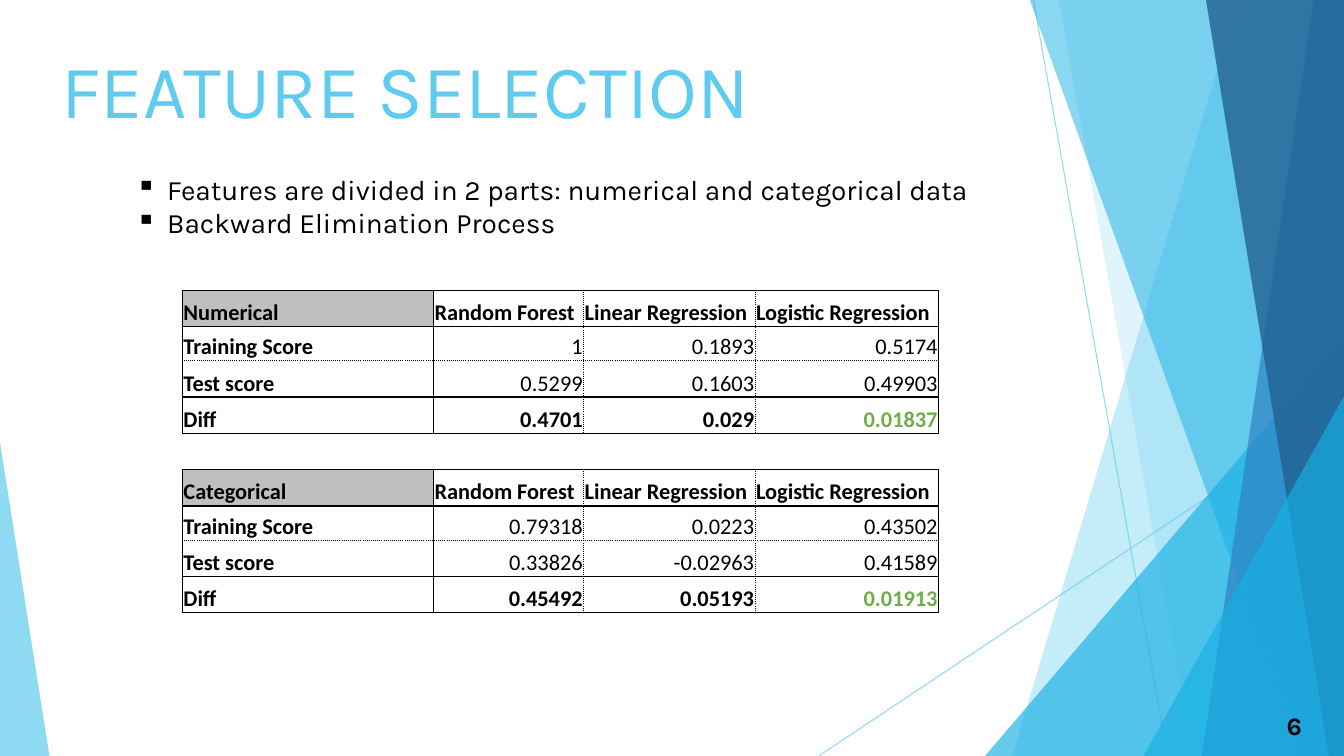
from dataclasses import dataclass

from lxml import etree
from pptx import Presentation
from pptx.dml.color import RGBColor
from pptx.enum.shapes import MSO_CONNECTOR, MSO_SHAPE
from pptx.enum.text import MSO_ANCHOR, MSO_AUTO_SIZE, PP_ALIGN
from pptx.oxml.ns import qn
from pptx.util import Emu, Pt

PX = 9144  # 100 px to the inch
PAGE_WIDTH, PAGE_HEIGHT = 1333, 750
LEFT, CENTER, RIGHT = PP_ALIGN.LEFT, PP_ALIGN.CENTER, PP_ALIGN.RIGHT
TOP, MIDDLE, BOTTOM = MSO_ANCHOR.TOP, MSO_ANCHOR.MIDDLE, MSO_ANCHOR.BOTTOM
TRIANGLE, STRAIGHT = MSO_SHAPE.ISOSCELES_TRIANGLE, MSO_CONNECTOR.STRAIGHT
GROW = MSO_AUTO_SIZE.SHAPE_TO_FIT_TEXT

SKY, CYAN, BLUE, NAVY = "5FCBEF", "17B0E4", "2E83C3", "226292"
BLACK, GRAY, GREEN = "000000", "BFBFBF", "70AD47"
HEADING_FONT, TABLE_FONT = "Karla", "Calibri"


@dataclass(frozen=True)
class Facet:
    """A band from a slanted left edge to the right side of the page."""
    top_x: int
    bottom_x: int
    color: str
    opacity: int


@dataclass(frozen=True)
class Wedge:
    left: int
    top: int
    width: int
    apex: float
    color: str
    opacity: int


@dataclass(frozen=True)
class Ray:
    start: tuple[int, int]
    end: tuple[int, int]


@dataclass(frozen=True)
class Edge:
    width: float
    dash: str = "solid"


@dataclass(frozen=True)
class ScoreBlock:
    name: str
    training: tuple[str, str, str]
    test: tuple[str, str, str]
    diff: tuple[str, str, str]


RAYS = [Ray((1025, 0), (1158, 750)), Ray((1333, 403), (812, 750))]
BACKDROP = [
    Facet(1228, 1004, SKY, 36),
    Facet(1050, 1183, SKY, 20),
    Wedge(977, 333, 356, 1, CYAN, 66),
    Facet(1021, 1291, CYAN, 50),
    Facet(1303, 1192, BLUE, 70),
    Facet(1196, 1318, NAVY, 80),
    Wedge(1134, 393, 199, 1, CYAN, 66),
    Wedge(0, 439, 49, 0, SKY, 70),
]

MODELS = ("Random Forest", "Linear Regression", "Logistic Regression")
BLOCKS = [
    ScoreBlock("Numerical", ("1", "0.1893", "0.5174"),
               ("0.5299", "0.1603", "0.49903"), ("0.4701", "0.029", "0.01837")),
    ScoreBlock("Categorical", ("0.79318", "0.0223", "0.43502"),
               ("0.33826", "-0.02963", "0.41589"), ("0.45492", "0.05193", "0.01913")),
]
COLUMN_WIDTHS = (249, 149, 170, 182)
BLOCK_HEIGHTS = (36, 34, 36, 36)
GAP_HEIGHT = 36
THICK, THIN, DOTTED = Edge(1), Edge(0.5), Edge(0.5, "sysDot")
COLUMN_EDGES = (THICK, THIN, DOTTED, DOTTED, THICK)
ROW_EDGES = (THICK, THICK, DOTTED, THICK, THICK)

BULLETS = ("Features are divided in 2 parts: numerical and categorical data",
           "Backward Elimination Process")


def px(length: int) -> Emu:
    return Emu(length * PX)


def rgb(color: str) -> RGBColor:
    return RGBColor.from_string(color)


def set_opacity(fill_parent, opacity: int) -> None:
    color = next(fill_parent.iter(qn("a:srgbClr")))
    etree.SubElement(color, qn("a:alpha")).set("val", str(opacity * 1000))


def paint(shape, color: str, opacity: int) -> None:
    shape.shadow.inherit = False
    shape.fill.solid()
    shape.fill.fore_color.rgb = rgb(color)
    shape.line.fill.background()
    set_opacity(shape.element.spPr, opacity)


def add_ray(page, ray: Ray) -> None:
    line = page.shapes.add_connector(STRAIGHT, *map(px, ray.start + ray.end))
    line.line.color.rgb = rgb(SKY)
    line.line.width = Pt(0.75)
    properties = line.element.spPr
    set_opacity(properties, 70)
    etree.SubElement(properties, qn("a:effectLst"))


def add_facet(page, facet: Facet) -> None:
    builder = page.shapes.build_freeform(facet.top_x, -1, scale=PX)
    builder.add_line_segments([(PAGE_WIDTH, -1), (PAGE_WIDTH, PAGE_HEIGHT),
                               (facet.bottom_x, PAGE_HEIGHT)])
    paint(builder.convert_to_shape(), facet.color, facet.opacity)


def add_wedge(page, wedge: Wedge) -> None:
    shape = page.shapes.add_shape(TRIANGLE, px(wedge.left), px(wedge.top),
                                  px(wedge.width), px(PAGE_HEIGHT - wedge.top))
    shape.adjustments[0] = wedge.apex
    paint(shape, wedge.color, wedge.opacity)


def style(para, font: str, size: int, color: str, bold: bool, align) -> None:
    para.alignment = align
    for span in para.runs:
        span.font.name = font
        span.font.size = Pt(size)
        span.font.bold = bold
        span.font.color.rgb = rgb(color)


def add_text(page, place: tuple[int, int, int, int], text: str, size: int, color: str,
             align=LEFT, anchor=TOP, bold: bool = False, wrap: bool = True):
    box = page.shapes.add_textbox(*map(px, place))
    frame = box.text_frame
    frame.text = text
    frame.word_wrap = wrap
    frame.vertical_anchor = anchor
    for para in frame.paragraphs:
        style(para, HEADING_FONT, size, color, bold, align)
    return box


def add_bullet(para) -> None:
    properties = para._p.get_or_add_pPr()
    properties.set("marL", str(px(31)))
    properties.set("indent", str(px(-31)))
    etree.SubElement(properties, qn("a:buChar")).set("char", "▪")


def set_borders(cell, edges: dict[str, Edge | None]) -> None:
    """Edges come in the order left, right, top, bottom; None means no line."""
    properties = cell._tc.get_or_add_tcPr()
    for index, (tag, edge) in enumerate(edges.items()):
        line = etree.Element(qn(f"a:{tag}"))
        properties.insert(index, line)
        if edge is None:
            etree.SubElement(line, qn("a:noFill"))
            continue
        line.set("w", str(Pt(edge.width)))
        fill = etree.SubElement(line, qn("a:solidFill"))
        etree.SubElement(fill, qn("a:srgbClr")).set("val", BLACK)
        etree.SubElement(line, qn("a:prstDash")).set("val", edge.dash)


def fill_cell(cell, text: str, color: str, bold: bool, align) -> None:
    cell.text = text
    cell.vertical_anchor = BOTTOM
    cell.margin_left = cell.margin_right = cell.margin_top = px(1)
    cell.margin_bottom = 0
    cell.fill.background()
    style(cell.text_frame.paragraphs[0], TABLE_FONT, 16, color, bold, align)


def add_block(table, block: ScoreBlock, first_row: int) -> None:
    rows = [(block.name, *MODELS), ("Training Score", *block.training),
            ("Test score", *block.test), ("Diff", *block.diff)]
    last = len(rows) - 1
    for r, values in enumerate(rows):
        for c, value in enumerate(values):
            cell = table.cell(first_row + r, c)
            color = GREEN if r == last and c == len(MODELS) else BLACK
            fill_cell(cell, value, color, r in (0, last) or c == 0,
                      RIGHT if r and c else LEFT)
            if r == c == 0:
                cell.fill.solid()
                cell.fill.fore_color.rgb = rgb(GRAY)
            set_borders(cell, {"lnL": COLUMN_EDGES[c], "lnR": COLUMN_EDGES[c + 1],
                               "lnT": ROW_EDGES[r], "lnB": ROW_EDGES[r + 1]})


def add_scores(page) -> None:
    heights = (*BLOCK_HEIGHTS, GAP_HEIGHT, *BLOCK_HEIGHTS)
    table = page.shapes.add_table(len(heights), len(COLUMN_WIDTHS), px(181), px(288),
                                  px(sum(COLUMN_WIDTHS)), px(sum(heights))).table
    table.first_row = table.horz_banding = False
    for column, width in zip(table.columns, COLUMN_WIDTHS):
        column.width = px(width)
    for row, height in zip(table.rows, heights):
        row.height = px(height)
    for index, block in enumerate(BLOCKS):
        add_block(table, block, index * (len(BLOCK_HEIGHTS) + 1))
    for cell in table.rows[len(BLOCK_HEIGHTS)].cells:
        fill_cell(cell, "", BLACK, False, LEFT)
        set_borders(cell, {"lnL": None, "lnR": None, "lnT": THICK, "lnB": THICK})


def main() -> None:
    deck = Presentation()
    deck.slide_width, deck.slide_height = px(PAGE_WIDTH), px(PAGE_HEIGHT)
    page = deck.slides.add_slide(deck.slide_layouts[6])
    for ray in RAYS:
        add_ray(page, ray)
    for part in BACKDROP:
        if isinstance(part, Facet):
            add_facet(page, part)
        else:
            add_wedge(page, part)
    add_text(page, (1226, 700, 75, 40), "6", 18, BLACK, RIGHT, MIDDLE, bold=True)
    title = add_text(page, (50, 38, 704, 101), "FEATURE SELECTION", 54, SKY, CENTER, wrap=False)
    title.text_frame.auto_size = GROW
    add_scores(page)
    points = add_text(page, (125, 166, 876, 77), "\n".join(BULLETS), 20, BLACK)
    points.text_frame.auto_size = GROW
    for para in points.text_frame.paragraphs:
        add_bullet(para)
    deck.save("out.pptx")


if __name__ == "__main__":
    main()
